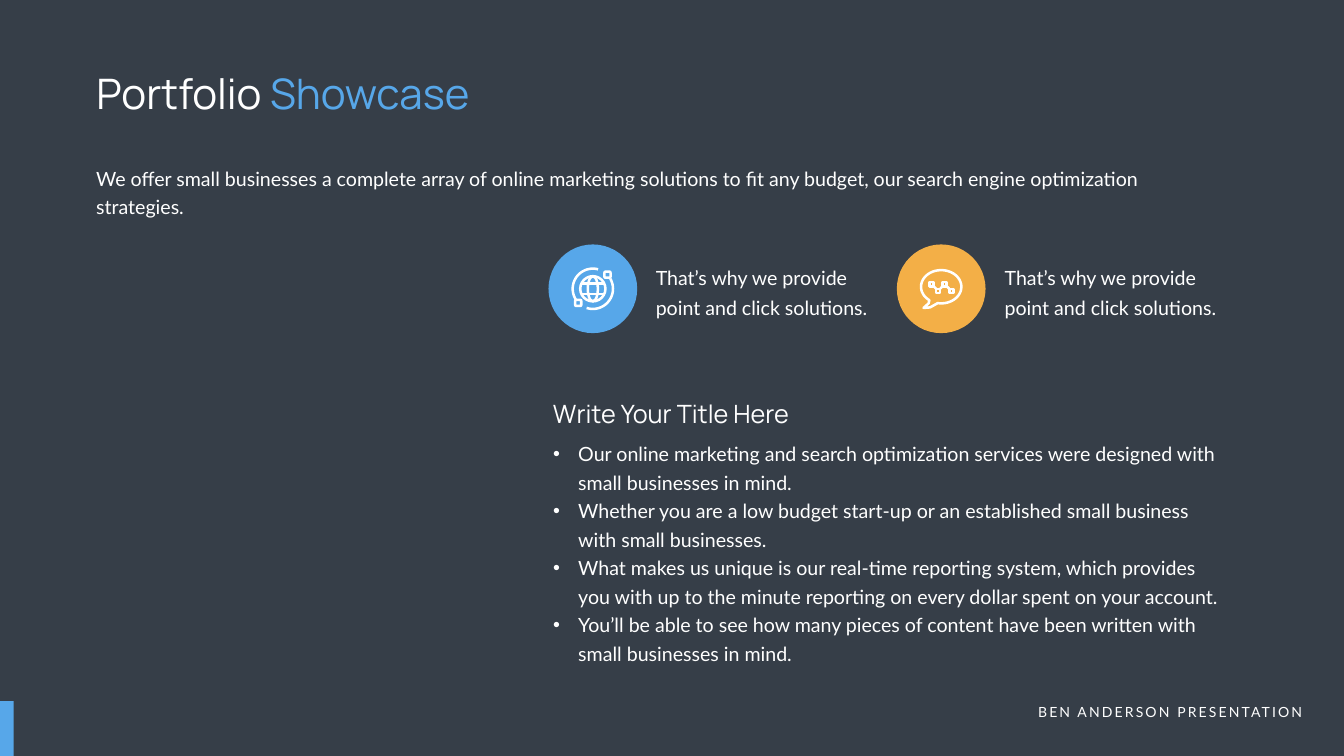
import math
from lxml import etree
from pptx import Presentation
from pptx.dml.color import RGBColor
from pptx.enum.shapes import MSO_CONNECTOR, MSO_SHAPE
from pptx.enum.text import MSO_ANCHOR, MSO_AUTO_SIZE, PP_ALIGN
from pptx.oxml.ns import qn
from pptx.util import Inches, Pt

DARK = RGBColor(0x36, 0x3E, 0x48)
WHITE = RGBColor(0xFF, 0xFF, 0xFF)
BLUE = RGBColor(0x57, 0xA7, 0xE9)
AMBER = RGBColor(0xF3, 0xAF, 0x47)
HEADING_FONT, BODY_FONT = "Manrope", "Lato"
LEFT, RIGHT, TOP = PP_ALIGN.LEFT, PP_ALIGN.RIGHT, MSO_ANCHOR.TOP
NO_FIT = MSO_AUTO_SIZE.NONE
OVAL, RECT, ROUNDED = MSO_SHAPE.OVAL, MSO_SHAPE.RECTANGLE, MSO_SHAPE.ROUNDED_RECTANGLE
STRAIGHT = MSO_CONNECTOR.STRAIGHT
STROKE = Pt(3.6)
BADGE_SIZE = 1.76

INTRO = ("We offer small businesses a complete array of online marketing solutions "
         "to fit any budget, our search engine optimization strategies.")
BADGE_CAPTION = "That’s why we provide point and click solutions."
SERVICES = [
    "Our online marketing and search optimization services were designed with "
    "small businesses in mind.",
    "Whether you are a low budget start-up or an established small business "
    "with small businesses.",
    "What makes us unique is our real-time reporting system, which provides you "
    "with up to the minute reporting on every dollar spent on your account.",
    "You’ll be able to see how many pieces of content have been written with "
    "small businesses in mind.",
]


def place(shape, box):
    """Move a text shape to a box and return its top-anchored frame."""
    shape.left, shape.top, shape.width, shape.height = map(Inches, box)
    frame = shape.text_frame
    frame.word_wrap = True
    frame.auto_size = NO_FIT
    frame.vertical_anchor = TOP
    return frame


def add_run(paragraph, text, size, font=BODY_FONT, color=WHITE):
    """Append a formatted run."""
    run = paragraph.add_run()
    run.text = text
    run.font.name, run.font.size = font, Pt(size)
    run.font.color.rgb = color
    return run


def add_text(slide, box, text, size, font=BODY_FONT, spacing=None, align=LEFT):
    """Add a one-paragraph text box and return its run."""
    frame = place(slide.shapes.add_textbox(0, 0, 0, 0), box)
    paragraph = frame.paragraphs[0]
    paragraph.alignment = align
    if spacing:
        paragraph.line_spacing = Pt(spacing)
    return add_run(paragraph, text, size, font)


def add_solid(slide, kind, box, color):
    """Add a filled shape without a line."""
    shape = slide.shapes.add_shape(kind, *map(Inches, box))
    shape.shadow.inherit = False
    shape.fill.solid()
    shape.fill.fore_color.rgb = color
    shape.line.fill.background()


def outline(shape):
    """Give a shape a white stroke only."""
    shape.shadow.inherit = False
    shape.fill.background()
    shape.line.color.rgb = WHITE
    shape.line.width = STROKE


def add_ring(slide, kind, center, rx, ry):
    """Outline a preset shape around its center."""
    x, y = center
    box = (x - rx, y - ry, 2 * rx, 2 * ry)
    outline(slide.shapes.add_shape(kind, *map(Inches, box)))


def add_stroke(slide, start, end):
    """Draw a straight white stroke."""
    link = slide.shapes.add_connector(STRAIGHT, *map(Inches, (*start, *end)))
    link.line.color.rgb = WHITE
    link.line.width = STROKE
    etree.SubElement(link._element.spPr, qn("a:effectLst"))


def add_curve(slide, contours, close=False):
    """Outline one freeform made of one or more contours."""
    paths = [[(Inches(x), Inches(y)) for x, y in contour] for contour in contours]
    builder = slide.shapes.build_freeform(*paths[0][0])
    for i, (start, *rest) in enumerate(paths):
        if i:
            builder.move_to(*start)
        builder.add_line_segments(rest, close=close)
    outline(builder.convert_to_shape())


def arc_points(center, rx, ry, first, last, steps=48):
    """List points on an elliptical arc, angles in degrees."""
    angles = [math.radians(first + (last - first) * i / steps) for i in range(steps + 1)]
    return [(center[0] + rx * math.cos(a), center[1] + ry * math.sin(a)) for a in angles]


def draw_globe(slide, center):
    """Draw a globe with two orbiting nodes."""
    x, y = center
    for rx in (0.25, 0.1):
        add_ring(slide, OVAL, center, rx, 0.25)
    for side in (-1, 1):
        add_stroke(slide, (x - 0.23, y + side * 0.1), (x + 0.23, y + side * 0.1))
        add_ring(slide, ROUNDED, (x + side * 0.29, y - side * 0.28), 0.06, 0.06)
    for first in (-30, 147):
        add_curve(slide, [arc_points(center, 0.4, 0.4, first, first + 138)])


def draw_chart_bubble(slide, center):
    """Draw a speech bubble holding a zigzag chart."""
    x, y = center[0], center[1] - 0.04
    tail = [(x - 0.25, y + 0.33), (x - 0.35, y + 0.42), (x - 0.22, y + 0.41)]
    add_curve(slide, [arc_points((x, y), 0.4, 0.33, 100, -234) + tail], close=True)
    nodes = [(x - 0.19 + 0.13 * i, y + (0.08 if i % 2 else -0.05)) for i in range(4)]
    corners = [(-0.04, -0.04), (0.04, -0.04), (0.04, 0.04), (-0.04, 0.04)]
    squares = [[(nx + dx, ny + dy) for dx, dy in corners] for nx, ny in nodes]
    links = [[(x1 + (x2 - x1) * t, y1 + (y2 - y1) * t) for t in (0.35, 0.65)]
             for (x1, y1), (x2, y2) in zip(nodes, nodes[1:])]
    add_curve(slide, squares + links, close=True)


def add_badge(slide, left, caption_left, top, color, draw_icon):
    """Place a round icon badge with its caption."""
    add_solid(slide, OVAL, (left, top, BADGE_SIZE, BADGE_SIZE), color)
    draw_icon(slide, (left + BADGE_SIZE / 2, top + BADGE_SIZE / 2))
    add_text(slide, (caption_left, top + 0.25, 4.6, 1.25), BADGE_CAPTION, 28, spacing=43)


def add_header(slide, left, top):
    """Place the two-colored title and the introduction."""
    frame = place(slide.shapes.title, (left, top, 9.76, 1.11))
    paragraph = frame.paragraphs[0]
    paragraph.alignment = LEFT
    add_run(paragraph, "Portfolio ", 60, HEADING_FONT)
    add_run(paragraph, "Showcase", 60, HEADING_FONT, BLUE)
    add_text(slide, (left, top + 1.88, 22.62, 0.62), INTRO, 28, spacing=40.8)


def add_services(slide, left, top):
    """Place the subtitle and the bulleted services."""
    add_text(slide, (left, top, 6.1, 0.71), "Write Your Title Here", 36, HEADING_FONT)
    frame = place(slide.placeholders[1], (left, top + 0.77, 13.56, 4.64))
    for i, service in enumerate(SERVICES):
        paragraph = frame.add_paragraph() if i else frame.paragraphs[0]
        properties = paragraph._p.get_or_add_pPr()
        properties.set("marL", str(Inches(0.5)))
        properties.set("indent", str(Inches(-0.5)))
        etree.SubElement(properties, qn("a:buFont"), typeface="Arial")
        etree.SubElement(properties, qn("a:buChar"), char="•")
        paragraph.line_spacing = Pt(40.8)
        paragraph.space_before = Pt(0)
        add_run(paragraph, service, 28)


def add_footer(slide, top):
    """Place the corner bar and the presentation name."""
    add_solid(slide, RECT, (0, top, 0.27, 15 - top), BLUE)
    run = add_text(slide, (20.08, top, 5.85, 0.44), "BEN ANDERSON PRESENTATION", 20, align=RIGHT)
    run._r.get_or_add_rPr().set("spc", "300")


def main():
    """Build and save the slide."""
    deck = Presentation()
    deck.slide_width, deck.slide_height = Inches(26.66), Inches(15)
    slide = deck.slides.add_slide(deck.slide_layouts[1])
    slide.background.fill.solid()
    slide.background.fill.fore_color.rgb = DARK
    add_header(slide, 1.81, 1.28)
    add_badge(slide, 10.88, 12.91, 4.85, BLUE, draw_globe)
    add_badge(slide, 17.79, 19.83, 4.85, AMBER, draw_chart_bubble)
    add_services(slide, 10.87, 7.85)
    add_footer(slide, 13.91)
    deck.save("out.pptx")


if __name__ == "__main__":
    main()
